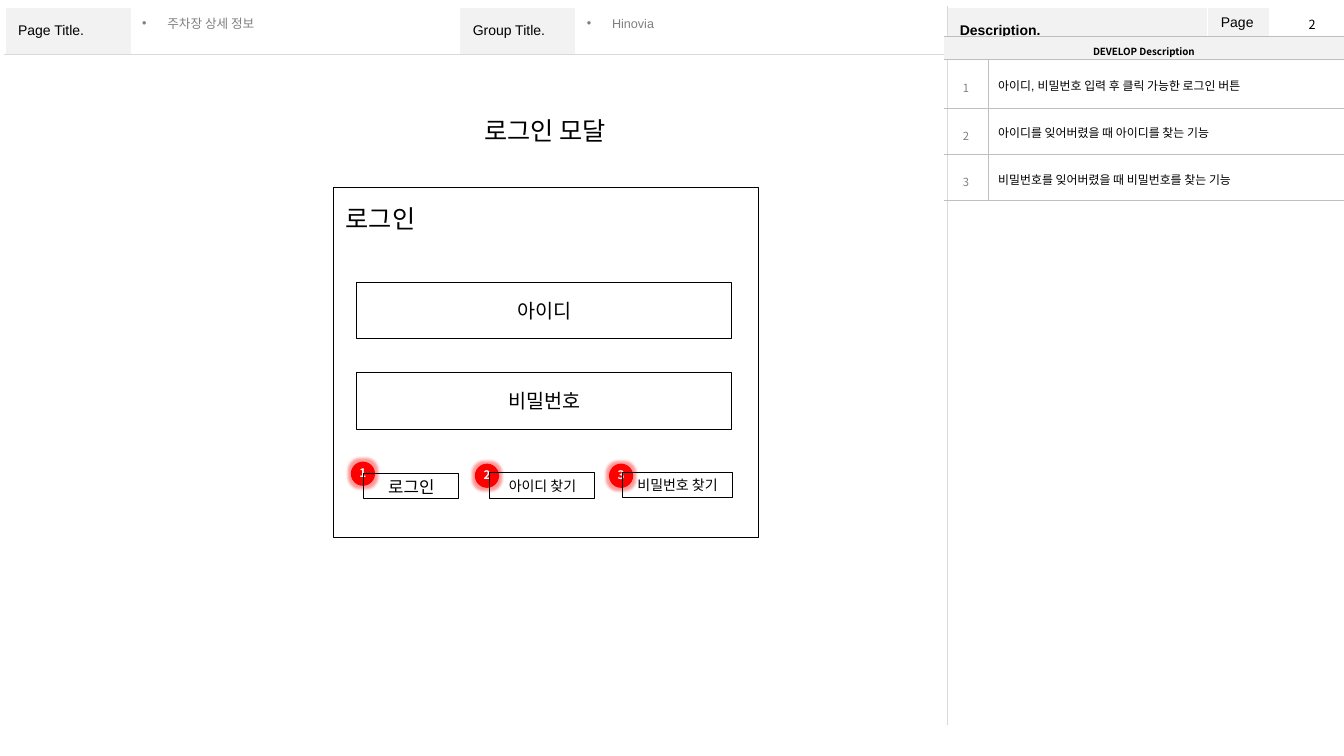
"""Build the wireframe slide of a login modal with its description table."""
from lxml.etree import SubElement as Sub
from pptx import Presentation
from pptx.dml.color import RGBColor as Rgb
from pptx.enum.shapes import MSO_SHAPE as Kind
from pptx.enum.text import MSO_ANCHOR as Anchor, MSO_AUTO_SIZE as Auto, PP_ALIGN as Align
from pptx.oxml.ns import qn
from pptx.util import Inches, Pt

HUE = {"black": "000000", "white": "FFFFFF", "grey": "808080", "pale": "F2F2F2",
       "rule": "D9D9D9", "line": "BFBFBF", "red": "FF0000"}
NOTO, ARIAL = "Noto Sans CJK KR", "Arial"
PLAIN = "{2D5ABB26-0587-4C30-8999-92F81FD0307C}"

TITLE = ("로그인 모달", (4.55, 1, 1.71, 0.58))
FACTS = [("주차장 상세 정보", (1.31, 0.12, 3.24, 0.24)),
         ("Hinovia", (5.72, 0.12, 3.64, 0.24))]
HEADS = ["Page Title.", "", "Group Title.", "", "Description.", "Page.", ""]
HEAD_COLS = [1.26, 3.25, 1.15, 3.68, 2.59, 0.61, 0.68]
HEAD_ROWS = [0.47, 6.65]
NOTES_HEAD = "DEVELOP Description"
NOTES = ["아이디, 비밀번호 입력 후 클릭 가능한 로그인 버튼",
         "아이디를 잊어버렸을 때 아이디를 찾는 기능",
         "비밀번호를 잊어버렸을 때 비밀번호를 찾는 기능"]
NOTE_COLS = [0.44, 3.53]
NOTE_ROWS = [0.23, 0.48, 0.46, 0.46, 0.46, 0.92]
BADGES = [(3.48, 4.58), (4.71, 4.6), (6.04, 4.6)]
FRAME = (3.31, 1.86, 4.21, 3.47)
BOXES = [("아이디", 14, (3.54, 2.8, 3.72, 0.56)),
         ("비밀번호", 14, (3.54, 3.7, 3.72, 0.56)),
         ("로그인", 12, (3.61, 4.7, 0.94, 0.25)),
         ("아이디 찾기", 10, (4.86, 4.69, 1.04, 0.26)),
         ("비밀번호 찾기", 10, (6.17, 4.69, 1.1, 0.25))]


def place(box):
    return [Inches(n) for n in box]


def write(frame, text, size, face=NOTO, hue="black", bold=False, align=Align.LEFT, gap=None):
    frame.text = text
    par = frame.paragraphs[0]
    par.alignment = align
    if gap:
        par.line_spacing = gap
    font = par.font
    font.size, font.name, font.bold = Pt(size), face, bold
    font.color.rgb = Rgb.from_string(HUE[hue])
    Sub(par._p.pPr.find(qn("a:defRPr")), qn("a:ea"), typeface=NOTO)
    return par


def label(shapes, box, text, size, wrap=True, anchor=Anchor.TOP, **style):
    frame = shapes.add_textbox(*place(box)).text_frame
    frame.word_wrap, frame.vertical_anchor = wrap, anchor
    write(frame, text, size, **style)


def outline(shapes, box):
    rect = shapes.add_shape(Kind.RECTANGLE, *place(box))
    rect.shadow.inherit = False
    rect.fill.background()
    rect.line.color.rgb = Rgb.from_string(HUE["black"])
    rect.line.width = Pt(0.75)
    return rect.text_frame


def badge(shapes, text, left, top):
    group = shapes.add_group_shape().shapes
    disc = group.add_shape(Kind.OVAL, *place((left, top, 0.24, 0.24)))
    disc.shadow.inherit = False
    disc.fill.solid()
    disc.fill.fore_color.rgb = Rgb.from_string(HUE["red"])
    disc.line.fill.background()
    glow = Sub(disc._element.spPr.find(qn("a:effectLst")), qn("a:glow"), rad=str(Pt(4)))
    tint = Sub(glow, qn("a:srgbClr"), val=HUE["red"])
    Sub(tint, qn("a:alpha"), val="40000")
    label(group, (left - 0.135, top - 0.01, 0.51, 0.24), text, 8.4,
          hue="white", bold=True, align=Align.CENTER)


def grid(shapes, left, top, cols, rows):
    box = place((left, top, sum(cols), sum(rows)))
    table = shapes.add_table(len(rows), len(cols), *box).table
    table.first_row = table.horz_banding = False
    table._tbl.tblPr.find(qn("a:tableStyleId")).text = PLAIN
    for col, wide in zip(table.columns, cols):
        col.width = Inches(wide)
    for row, high in zip(table.rows, rows):
        row.height = Inches(high)
    return table


def dress(cell, edges, fill=None, inset=(0.1, 0.05)):
    props = cell._tc.get_or_add_tcPr()
    for side in "LRTB":
        if side in edges:
            hue = edges[side]
            wide = Pt(1) if hue == "white" else Pt(0.25)
            line = Sub(props, qn("a:ln" + side), w=str(wide))
            Sub(Sub(line, qn("a:solidFill")), qn("a:srgbClr"), val=HUE[hue])
    if fill:
        cell.fill.solid()
        cell.fill.fore_color.rgb = Rgb.from_string(HUE[fill])
    else:
        cell.fill.background()
    cell.margin_left = cell.margin_right = Inches(inset[0])
    cell.margin_top = cell.margin_bottom = Inches(inset[1])
    cell.vertical_anchor = Anchor.MIDDLE


def header(shapes):
    table = grid(shapes, 0.05, 0.07, HEAD_COLS, HEAD_ROWS)
    split = 4
    for i, text in enumerate(HEADS):
        edges = {"L": "rule" if i == split else "white", "T": "white", "B": "rule",
                 "R": "rule" if i == split - 1 else "white"}
        cell = table.cell(0, i)
        dress(cell, edges, "pale" if text else None, (0.13, 0.07))
        if text:
            write(cell.text_frame, text, 10, ARIAL, bold=i == split)
        low = {"T": "rule"}
        if i == split - 1:
            low["R"] = "rule"
        if i == split:
            low["L"] = "rule"
        dress(table.cell(1, i), low)
    table.cell(1, 0).merge(table.cell(1, split - 1))
    table.cell(1, split).merge(table.cell(1, len(HEADS) - 1))


def notes(shapes):
    table = grid(shapes, 9.36, 0.36, NOTE_COLS, NOTE_ROWS)
    rim = {"T": "line", "B": "line"}
    for i in range(len(NOTE_ROWS)):
        num, body = table.cell(i, 0), table.cell(i, 1)
        if 1 <= i <= len(NOTES):
            dress(num, {**rim, "R": "line"}, inset=(0.12, 0.06))
            dress(body, {**rim, "L": "line"})
            write(num.text_frame, str(i), 8, hue="grey", align=Align.CENTER, gap=1.5)
            write(body.text_frame, NOTES[i - 1], 8.5, ARIAL, align=Align.JUSTIFY, gap=1.2)
            continue
        for cell in (num, body):
            dress(cell, {} if i else rim, None if i else "pale", (0.12, 0))
        num.merge(body)
    write(table.cell(0, 0).text_frame, NOTES_HEAD, 7, bold=True, align=Align.CENTER, gap=1.5)


def seat(holder, box):
    holder.left, holder.top, holder.width, holder.height = place(box)
    frame = holder.text_frame
    frame.word_wrap, frame.auto_size = True, Auto.NONE
    frame.vertical_anchor = Anchor.MIDDLE
    return frame


def main():
    deck = Presentation()
    deck.slide_width, deck.slide_height = Inches(13.33), Inches(7.5)
    slide = deck.slides.add_slide(deck.slide_layouts[3])
    shapes = slide.shapes
    title, *bodies = slide.placeholders
    write(seat(title, TITLE[1]), TITLE[0], 18, align=Align.CENTER)
    for holder, (text, box) in zip(bodies, FACTS):
        par = write(seat(holder, box), text, 9, ARIAL, "grey", gap=0.9)
        par.space_before = Pt(10)
        par._p.pPr.set("marL", str(Inches(0.25)))
        par._p.pPr.set("indent", str(-Inches(0.25)))
    header(shapes)
    label(shapes, (12.88, 0.12, 0.27, 0.25), "2", 9, wrap=False)
    notes(shapes)
    for i, spot in enumerate(BADGES, 1):
        badge(shapes, str(i), *spot)
    outline(shapes, FRAME)
    label(shapes, (3.33, 1.88, 1.71, 0.58), "로그인", 18, anchor=Anchor.MIDDLE)
    for text, size, box in BOXES:
        frame = outline(shapes, box)
        frame.word_wrap, frame.vertical_anchor = True, Anchor.MIDDLE
        write(frame, text, size, align=Align.CENTER)
    deck.save("out.pptx")


if __name__ == "__main__":
    main()
